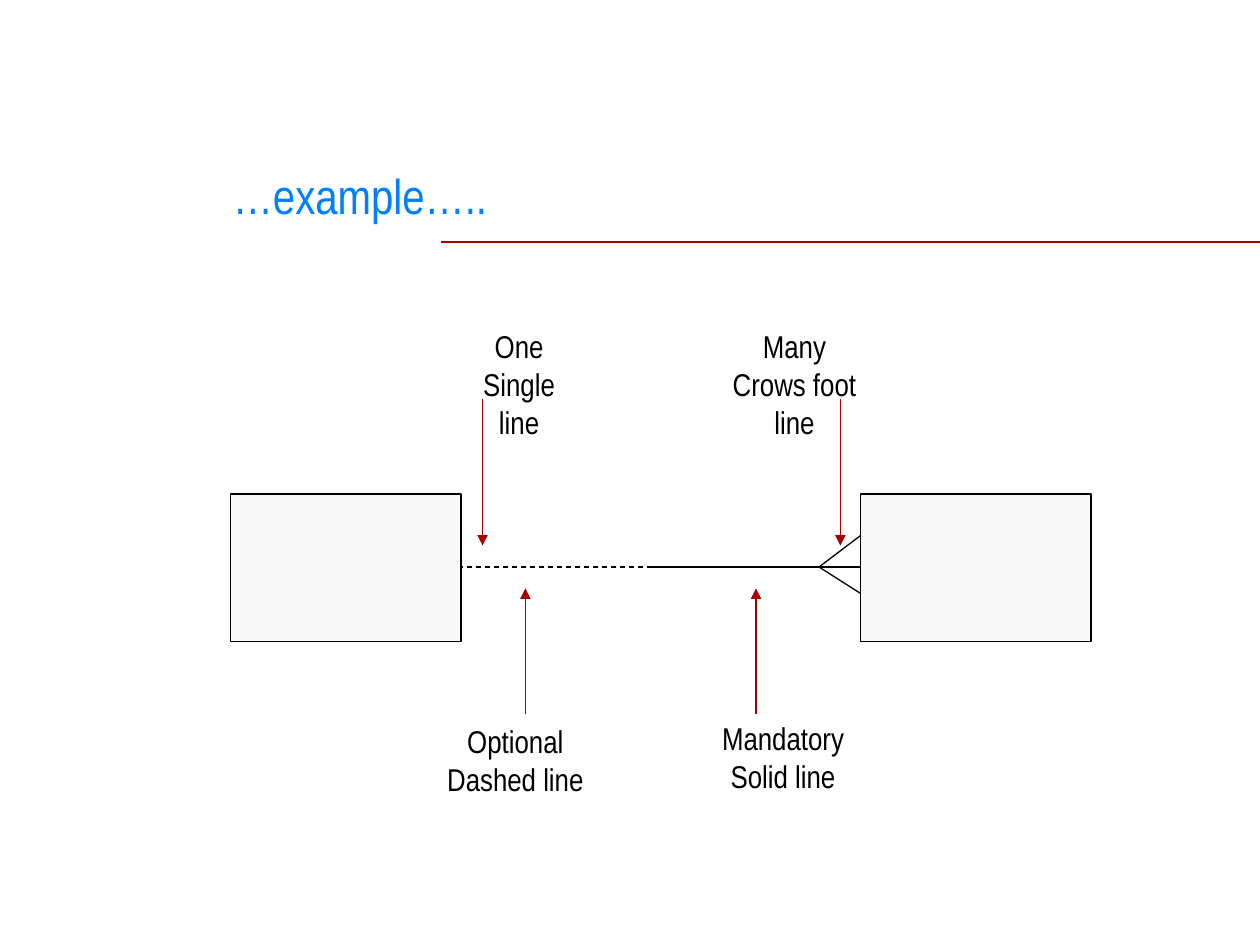
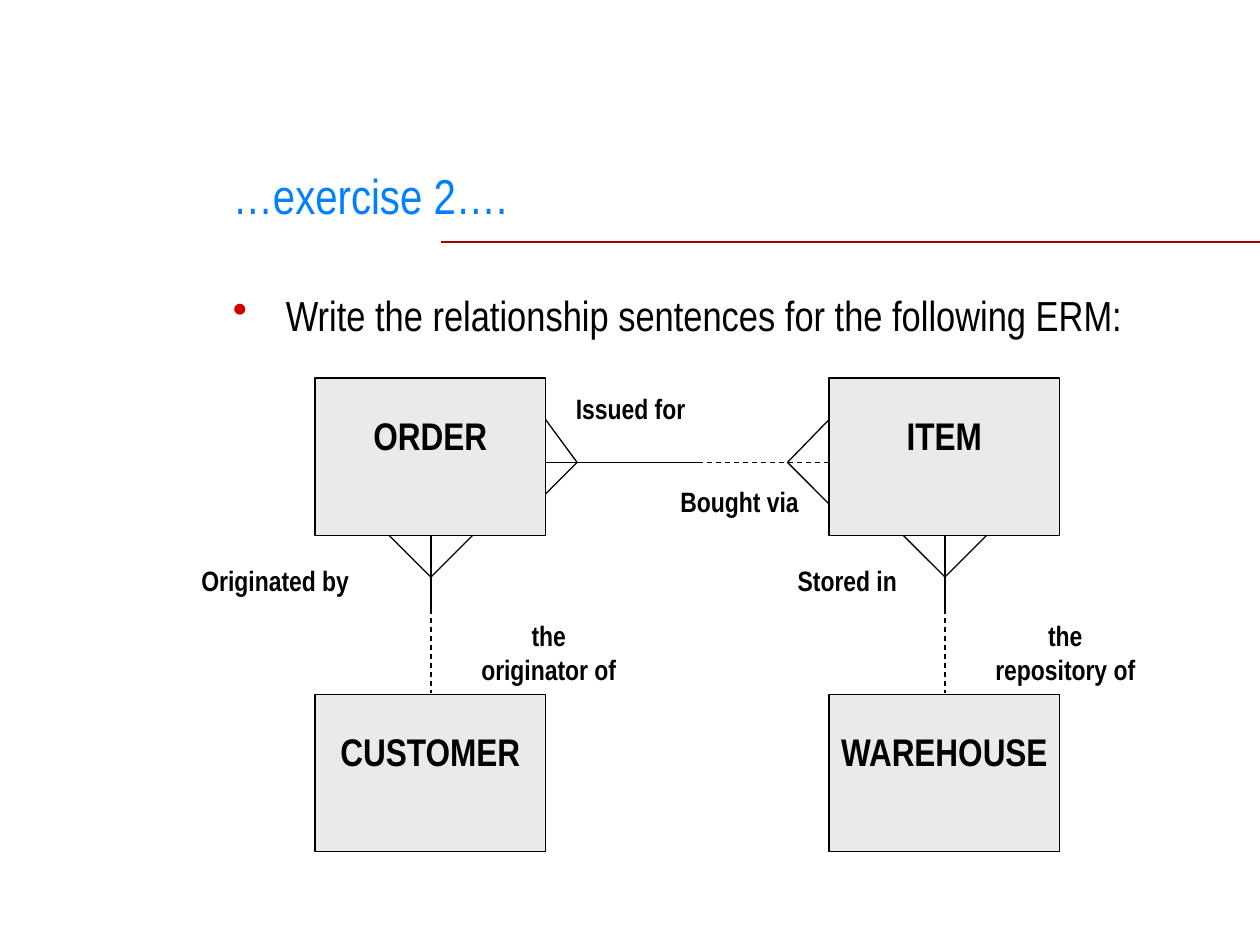
from lxml import etree
from pptx import Presentation
from pptx.dml.color import RGBColor
from pptx.enum.dml import MSO_LINE
from pptx.enum.shapes import MSO_CONNECTOR, MSO_SHAPE
from pptx.enum.text import MSO_ANCHOR, MSO_AUTO_SIZE, PP_ALIGN
from pptx.oxml.ns import qn
from pptx.util import Inches, Pt

STRAIGHT = MSO_CONNECTOR.STRAIGHT
RECTANGLE = MSO_SHAPE.RECTANGLE
DASH = MSO_LINE.DASH
MIDDLE = MSO_ANCHOR.MIDDLE
TOP = MSO_ANCHOR.TOP
GROW = MSO_AUTO_SIZE.SHAPE_TO_FIT_TEXT
LEFT = PP_ALIGN.LEFT
CENTER = PP_ALIGN.CENTER

COLORS = {
    "title": "0080FF",
    "accent": "A80000",
    "bullet": "CC0000",
    "ink": "000000",
    "pale": "F8F8F8",
    "entity": "EAEAEA",
}
FONT = "Arial Narrow"


def color(name):
    return RGBColor.from_string(COLORS[name])


def write_text(frame, text, size=18, ink="ink", bold=False, align=CENTER, anchor=TOP, wrap=False):
    frame.word_wrap = wrap
    frame.vertical_anchor = anchor
    for index, line in enumerate(text.split("\n")):
        paragraph = frame.paragraphs[0] if index == 0 else frame.add_paragraph()
        paragraph.alignment = align
        run = paragraph.add_run()
        run.text = line
        run.font.name = FONT
        run.font.size = Pt(size)
        run.font.bold = bold
        run.font.color.rgb = color(ink)


class Deck:
    line_width = Pt(0.74)

    def __init__(self):
        self.presentation = Presentation()
        self.presentation.slide_width = Inches(10)
        self.presentation.slide_height = Inches(7.5)
        self.slide = None

    def add_slide(self, title):
        self.slide = self.presentation.slides.add_slide(self.presentation.slide_layouts[6])
        self.line((3.5, 1.92), (10, 1.92), ink="accent")
        frame = self.text_frame(1.75, 1.17, 7.67, 0.75)
        write_text(frame, title, size=28, ink="title", align=LEFT, anchor=MIDDLE, wrap=True)

    def text_frame(self, left, top, width, height):
        box = self.slide.shapes.add_textbox(Inches(left), Inches(top), Inches(width), Inches(height))
        return box.text_frame

    def label(self, text, left, top, width, height, **style):
        frame = self.text_frame(left, top, width, height)
        write_text(frame, text, **style)
        frame.auto_size = GROW

    def bullet(self, text, left, top, width, height):
        frame = self.text_frame(left, top, width, height)
        write_text(frame, text, size=24, align=LEFT, wrap=True)
        paragraph = frame.paragraphs[0]
        paragraph.space_before = Pt(6)
        properties = paragraph._p.get_or_add_pPr()
        properties.set("marL", str(Inches(0.42)))
        properties.set("indent", str(-Inches(0.42)))
        bullet_color = etree.SubElement(properties, qn("a:buClr"))
        etree.SubElement(bullet_color, qn("a:srgbClr"), val=COLORS["bullet"])
        etree.SubElement(properties, qn("a:buChar"), char="•")

    def box(self, left, top, height, fill, text=""):
        shape = self.slide.shapes.add_shape(
            RECTANGLE, Inches(left), Inches(top), Inches(1.83), Inches(height))
        shape.shadow.inherit = False
        shape.fill.solid()
        shape.fill.fore_color.rgb = color(fill)
        shape.line.color.rgb = color("ink")
        shape.line.width = self.line_width
        if text:
            shape.text_frame.margin_bottom = Inches(0.4)
            write_text(shape.text_frame, text, size=22, bold=True, anchor=MIDDLE)

    def line(self, start, end, ink="ink", dashed=False, arrow=False):
        connector = self.slide.shapes.add_connector(
            STRAIGHT, *(Inches(value) for value in (*start, *end)))
        connector.line.color.rgb = color(ink)
        connector.line.width = self.line_width
        if dashed:
            connector.line.dash_style = DASH
        if arrow:
            etree.SubElement(connector.line._get_or_add_ln(), qn("a:tailEnd"), type="triangle")
        etree.SubElement(connector._element.spPr, qn("a:effectLst"))

    def crows_foot(self, tip, *toes):
        for toe in toes:
            self.line(tip, toe)


deck = Deck()

deck.add_slide("…example…..")
deck.crows_foot((6.5, 4.5), (6.83, 4.25), (6.83, 4.71))
for left in (1.83, 6.83):
    deck.box(left, 3.92, 1.17, "pale")
deck.line((6.83, 4.5), (5.17, 4.5))
deck.line((5.25, 4.5), (3.67, 4.5), dashed=True)
for text, left, top, width in (
    ("Optional\nDashed line", 3.45, 5.68, 1.28),
    ("Mandatory\nSolid line", 5.63, 5.66, 1.17),
    ("One\nSingle line", 3.55, 2.55, 1.14),
    ("Many\nCrows foot line", 5.53, 2.55, 1.55),
):
    deck.label(text, left, top, width, 0.7)
for x, start, end in ((4.17, 5.67, 4.67), (6, 5.67, 4.67), (3.83, 3.17, 4.33), (6.67, 3.17, 4.33)):
    deck.line((x, start), (x, end), ink="accent", arrow=True)

deck.add_slide("…exercise 2….")
deck.bullet("Write the relationship sentences for the following ERM:", 1.75, 2.25, 8.58, 3.58)
for left, upper, lower in ((2.5, "ORDER", "CUSTOMER"), (6.58, "ITEM", "WAREHOUSE")):
    deck.box(left, 3, 1.25, "entity", upper)
    deck.box(left, 5.51, 1.25, "entity", lower)
    center = left + 0.92
    deck.line((center, 4.83), (center, 4.25))
    deck.line((center, 4.83), (center, 5.5), dashed=True)
    deck.crows_foot((center, 4.58), (center - 0.33, 4.25), (center + 0.33, 4.25))
deck.line((6.58, 3.67), (5.58, 3.67), dashed=True)
deck.line((5.58, 3.67), (4.33, 3.67))
deck.crows_foot((4.58, 3.67), (4.33, 3.33), (4.33, 3.92))
deck.crows_foot((6.25, 3.67), (6.58, 3.33), (6.58, 4))
for text, left, top, width, height in (
    ("Issued for", 4.47, 3.06, 1.07, 0.37),
    ("Bought via", 5.3, 3.8, 1.14, 0.37),
    ("Originated by", 1.5, 4.42, 1.37, 0.37),
    ("the\noriginator of", 3.72, 4.86, 1.27, 0.64),
    ("Stored in", 6.23, 4.42, 0.99, 0.37),
    ("the\nrepository of", 7.8, 4.86, 1.31, 0.64),
):
    deck.label(text, left, top, width, height, size=16, bold=True)

deck.presentation.save("out.pptx")
